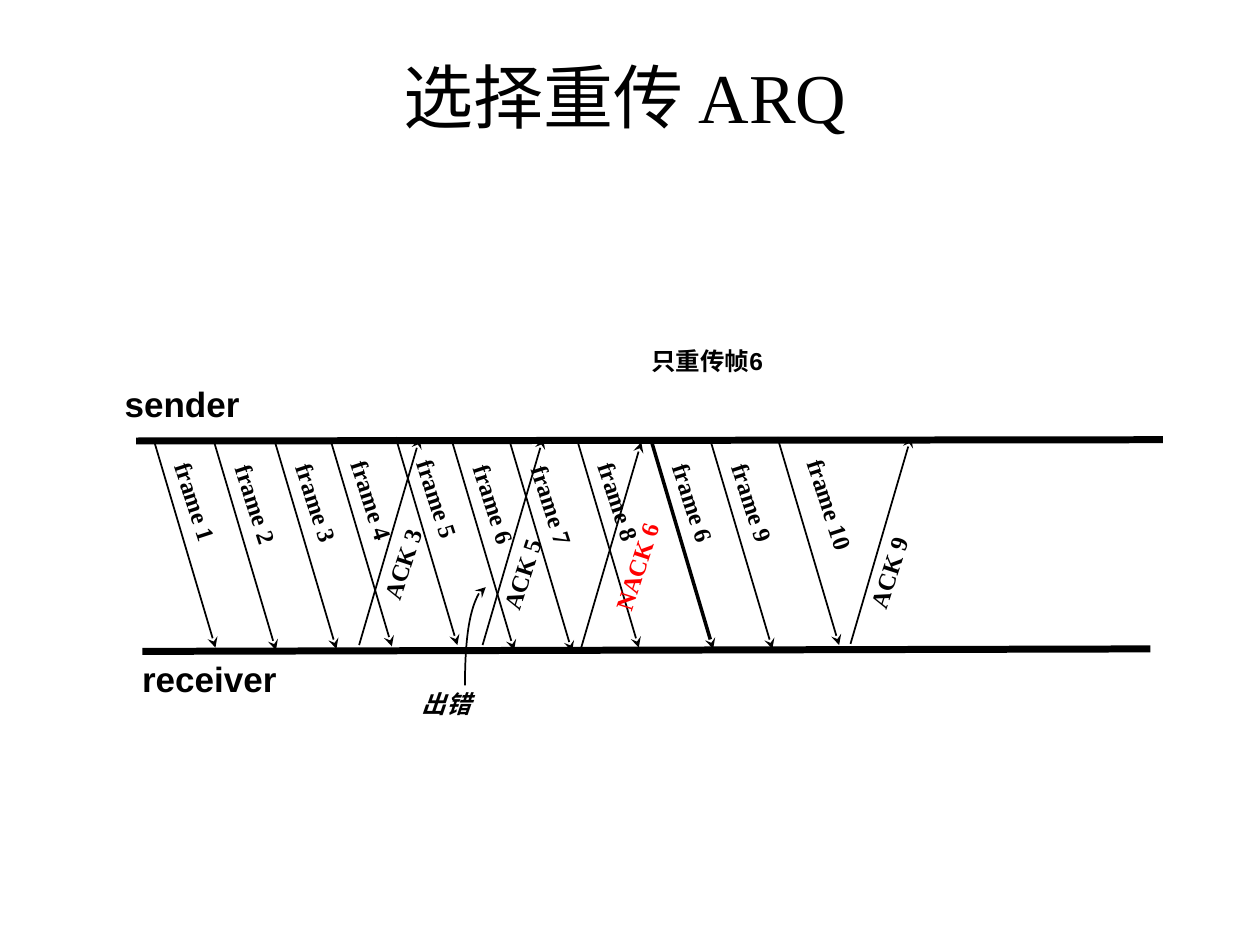
"""Draw the selective-repeat ARQ timing diagram between a sender and a receiver."""
from dataclasses import dataclass

from lxml import etree
from pptx import Presentation
from pptx import util as u
from pptx.dml.color import RGBColor
from pptx.enum import shapes, text
from pptx.oxml import ns

COLORS = {"ink": "000000", "alert": "FF0000"}
SERIF, SANS = "Times New Roman", "Arial"
SLIDE_COLUMNS, SLIDE_ROWS = 100, 75
CELL = u.Inches(0.1)
LABEL_HEIGHT = 3.3


@dataclass(frozen=True)
class Label:
    """Text in a box whose centre, width and height are in grid cells."""
    wording: str
    center_column: float
    center_row: float
    width: float
    height: float = LABEL_HEIGHT
    size: int = 14
    font: str = SERIF
    color: str = "ink"
    bold: bool = True
    italic: bool = False
    rotation: float = 0
    title: bool = False


@dataclass(frozen=True)
class Message:
    """An arrow from one timeline to the other, with its label beside it."""
    wording: str
    column: float
    row: float
    label_column: float = 3.35
    label_row: float = 4.95
    label_width: float = 8.5
    weight: float = 1
    color: str = "ink"


FRAME_RUN, FRAME_DROP, FRAME_TILT = 4.9, 16.5, 72
REPLY_RUN, REPLY_DROP, REPLY_TILT = 4.8, -16.4, 288

FRAMES = [
    Message("frame 1", 12.2, 34.9),
    Message("frame 2", 17.0, 35.1),
    Message("frame 3", 21.8, 35.0),
    Message("frame 4", 26.2, 34.8),
    Message("frame 5", 31.4, 34.7),
    Message("frame 6", 35.9, 35.1),
    Message("frame 7", 40.5, 35.2),
    Message("frame 8", 45.8, 34.9),
    Message("frame 6", 51.7, 35.0, weight=2),
    Message("frame 9", 56.4, 35.0),
    Message("frame 10", 61.7, 34.7, 4.2, 5.35, 9.4),
]
REPLIES = [
    Message("ACK 3", 28.5, 51.2, 3.4, -6.45, 7.8),
    Message("ACK 5", 38.3, 51.2, 3.1, -5.65, 7.8),
    Message("NACK 6", 46.1, 51.5, 4.4, -6.55, 9.2, color="alert"),
    Message("ACK 9", 67.5, 51.1, 3.0, -5.65, 7.8),
]
TIMELINES = [(10.8, 35.0, 92.3, 34.9), (11.3, 51.7, 91.3, 51.5)]
LABELS = [
    Label("选择重传 ARQ", 49.6, 7.55, 80, 12.5, 40, bold=False, title=True),
    Label("sender", 14.45, 32.05, 11.1, 4.3, 20, SANS),
    Label("receiver", 16.65, 53.85, 12.7, 4.3, 20, SANS),
    Label("出错", 35.45, 55.85, 5.9, font=SANS, italic=True),
    Label("只重传帧6", 56.4, 28.65, 11.4, font=SANS),
]


def cells(count: float) -> u.Emu:
    """Turn a number of grid cells into a length."""
    return u.Emu(round(count * CELL))


def style_line(shape, weight: float, arrow: bool) -> None:
    """Set the colour, weight and arrowhead of a line."""
    shape.line.color.rgb = RGBColor.from_string(COLORS["ink"])
    shape.line.width = u.Pt(weight)
    if arrow:
        head = etree.SubElement(shape.line._get_or_add_ln(), ns.qn("a:tailEnd"))
        head.set("type", "stealth")


def draw_line(slide, start: tuple, end: tuple, weight: float, arrow: bool) -> None:
    """Draw a straight line between two grid points."""
    connector = slide.shapes.add_connector(
        shapes.MSO_CONNECTOR.STRAIGHT, *map(cells, (*start, *end)))
    style_line(connector, weight, arrow)
    etree.SubElement(connector._element.spPr, ns.qn("a:effectLst"))


def draw_label(slide, label: Label) -> None:
    """Draw a text box around its centre."""
    shape = slide.shapes.add_textbox(
        cells(label.center_column - label.width / 2),
        cells(label.center_row - label.height / 2),
        cells(label.width), cells(label.height))
    shape.rotation = label.rotation
    frame = shape.text_frame
    frame.text = label.wording
    frame.word_wrap = label.title
    paragraph = frame.paragraphs[0]
    if label.title:
        frame.vertical_anchor = text.MSO_ANCHOR.MIDDLE
        paragraph.alignment = text.PP_ALIGN.CENTER
    else:
        frame.auto_size = text.MSO_AUTO_SIZE.SHAPE_TO_FIT_TEXT
    font = paragraph.runs[0].font
    font.name, font.size = label.font, u.Pt(label.size)
    font.bold, font.italic = label.bold, label.italic
    font.color.rgb = RGBColor.from_string(COLORS[label.color])


def draw_message(slide, message: Message, run: float, drop: float, tilt: float) -> None:
    """Draw a message arrow and its tilted label."""
    start = (message.column, message.row)
    draw_line(slide, start, (message.column + run, message.row + drop),
              message.weight, True)
    draw_label(slide, Label(
        message.wording, message.column + message.label_column,
        message.row + message.label_row, message.label_width,
        color=message.color, rotation=tilt))


def draw_error_pointer(slide) -> None:
    """Draw the curved arrow from the error note to the damaged frame."""
    left, top, width, height = map(cells, (36.9, 46.6, 1.65, 7.8))
    builder = slide.shapes.build_freeform(left, top + height)
    builder.add_line_segments([(left + width, top)], close=False)
    shape = builder.convert_to_shape()
    shape.shadow.inherit = False
    shape.fill.background()
    style_line(shape, 1, True)
    segment = shape._element.find(".//" + ns.qn("a:lnTo"))
    segment.tag = ns.qn("a:cubicBezTo")
    controls = [(0, 0.45), (0.48, 0.01)]
    for position, (across, down) in enumerate(controls):
        point = etree.Element(ns.qn("a:pt"))
        point.set("x", str(round(across * width)))
        point.set("y", str(round(down * height)))
        segment.insert(position, point)


def main() -> None:
    """Build and save the slide."""
    presentation = Presentation()
    presentation.slide_width = cells(SLIDE_COLUMNS)
    presentation.slide_height = cells(SLIDE_ROWS)
    slide = presentation.slides.add_slide(presentation.slide_layouts[6])
    for label in LABELS:
        draw_label(slide, label)
    for x1, y1, x2, y2 in TIMELINES:
        draw_line(slide, (x1, y1), (x2, y2), 4, False)
    draw_error_pointer(slide)
    for message in FRAMES:
        draw_message(slide, message, FRAME_RUN, FRAME_DROP, FRAME_TILT)
    for message in REPLIES:
        draw_message(slide, message, REPLY_RUN, REPLY_DROP, REPLY_TILT)
    presentation.save("out.pptx")


if __name__ == "__main__":
    main()
